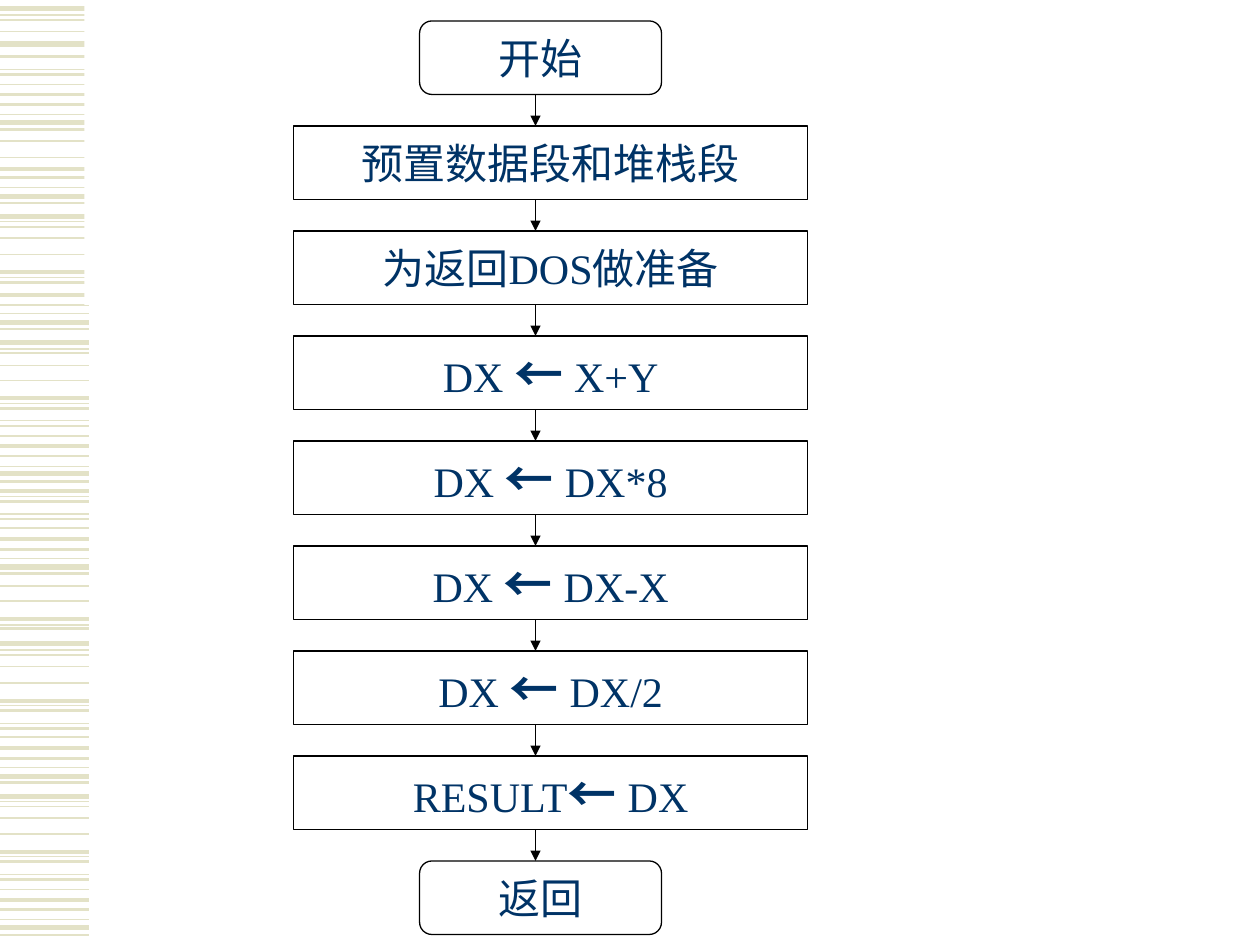
from dataclasses import dataclass

from lxml.etree import SubElement
from pptx import Presentation
from pptx.dml.color import RGBColor
from pptx.enum.shapes import MSO_CONNECTOR, MSO_SHAPE
from pptx.enum.text import MSO_ANCHOR, PP_ALIGN
from pptx.oxml.ns import qn
from pptx.shapes.connector import Connector
from pptx.slide import Slide
from pptx.util import Inches, Pt

COLORS = {"stripe": "E3E2C7", "text": "003366", "line": "000000", "panel": "FFFFFF"}
LATIN, CJK = "Times New Roman", "Noto Sans CJK SC"
ARROW = "← "

# Ten boxes share one pitch; connectors fill the gaps on the flow axis.
TOP, PITCH, HEIGHT = 1 / 6, 5 / 6, 7 / 12
AXIS = 4.25

# Line weight in points -> heights of the stripes down the left edge
STRIPE_WIDTH = 0.71
STRIPES = {
    3: [0.07, 0.35, 0.97, 1.56, 1.72, 2.56, 2.72, 3.76, 4.5, 5.11, 6.16, 6.32, 7.36],
    2.25: [0.75, 1.34, 2.16, 2.34, 3.16, 3.54, 3.9, 4.28, 4.91, 5.56, 5.94, 6.76,
           7.14],
    1.5: [0.45, 0.59, 0.83, 1.03, 1.41, 1.61, 2.24, 2.42, 2.61, 3.24, 3.38, 3.62,
          3.82, 3.98, 4.12, 4.36, 4.55, 4.99, 5.64, 5.78, 6.02, 6.21, 6.84, 6.98,
          7.22, 7.42],
    1: [0.16, 0.25, 0.67, 1.12, 1.25, 1.8, 1.89, 2.02, 2.8, 2.9, 3.02, 3.46, 4.19,
        4.65, 4.77, 5.2, 5.29, 5.42, 5.85, 6.4, 6.49, 6.62, 7.06],
    0.75: [0.12, 0.55, 0.91, 1.49, 1.76, 2.2, 2.49, 2.77, 3.2, 3.34, 3.7, 3.94, 4.08,
           4.43, 4.96, 5.16, 5.6, 5.74, 6.09, 6.36, 6.8, 6.94, 7.3],
}


@dataclass(frozen=True)
class BoxStyle:
    shape: MSO_SHAPE
    left: float
    width: float


@dataclass(frozen=True)
class Step:
    style: BoxStyle
    texts: tuple[str, ...]


TERMINAL = BoxStyle(MSO_SHAPE.FLOWCHART_ALTERNATE_PROCESS, 3.33, 1.92)
PROCESS = BoxStyle(MSO_SHAPE.FLOWCHART_PROCESS, 2.33, 4.08)

STEPS = [
    Step(TERMINAL, ("开始",)),
    Step(PROCESS, ("预置数据段和堆栈段",)),
    Step(PROCESS, ("为返回DOS做准备",)),
    Step(PROCESS, ("DX ", ARROW, "X+Y")),
    Step(PROCESS, ("DX ", ARROW, "DX*8")),
    Step(PROCESS, ("DX ", ARROW, "DX-X")),
    Step(PROCESS, ("DX ", ARROW, "DX/2")),
    Step(PROCESS, ("RESULT", ARROW, "DX")),
    Step(TERMINAL, ("返回",)),
]


def rgb(name: str) -> RGBColor:
    return RGBColor.from_string(COLORS[name])


def add_line(s: Slide, x1: float, y1: float, x2: float, y2: float,
             color: str, weight: float) -> Connector:
    line = s.shapes.add_connector(MSO_CONNECTOR.STRAIGHT, Inches(x1), Inches(y1),
                                  Inches(x2), Inches(y2))
    line.line.color.rgb = rgb(color)
    line.line.width = Pt(weight)
    SubElement(line._element.spPr, qn("a:effectLst"))
    return line


def add_panel(s: Slide) -> None:
    """Trim the upper stripes with a plain white panel."""
    sp = s.shapes.add_shape(MSO_SHAPE.RECTANGLE, Inches(0.67), 0,
                            Inches(9.25), Inches(2.42))
    sp.shadow.inherit = False
    sp.fill.solid()
    sp.fill.fore_color.rgb = rgb("panel")
    sp.line.fill.background()


def add_step(s: Slide, step: Step, top: float) -> None:
    style = step.style
    sp = s.shapes.add_shape(style.shape, Inches(style.left), Inches(top),
                            Inches(style.width), Inches(HEIGHT))
    sp.shadow.inherit = False
    sp.fill.background()
    sp.line.color.rgb = rgb("line")
    sp.line.width = Pt(0.75)
    tf = sp.text_frame
    tf.word_wrap = False
    tf.vertical_anchor = MSO_ANCHOR.MIDDLE
    p = tf.paragraphs[0]
    p.alignment = PP_ALIGN.CENTER
    for text in step.texts:
        is_arrow = text == ARROW
        r = p.add_run()
        r.text = text
        r.font.size = Pt(28 if is_arrow else 24)
        r.font.bold = is_arrow
        r.font.color.rgb = rgb("text")
        r.font.name = CJK if is_arrow else LATIN
        SubElement(r.font._element, qn("a:ea"), typeface=CJK)


def add_flow_arrow(s: Slide, top: float, bottom: float) -> None:
    arrow = add_line(s, AXIS, top, AXIS, bottom, "line", 0.75)
    SubElement(arrow.line._get_or_add_ln(), qn("a:tailEnd"), type="triangle")


def main() -> None:
    prs = Presentation()
    prs.slide_width, prs.slide_height = Inches(10), Inches(7.5)
    s = prs.slides.add_slide(prs.slide_layouts[6])

    for weight, heights in STRIPES.items():
        for y in heights:
            add_line(s, 0, y, STRIPE_WIDTH, y, "stripe", weight)
    add_panel(s)

    tops = [TOP + i * PITCH for i in range(len(STEPS))]
    for step, top in zip(STEPS, tops):
        add_step(s, step, top)
    for top, next_top in zip(tops, tops[1:]):
        add_flow_arrow(s, top + HEIGHT, next_top)

    prs.save("out.pptx")


if __name__ == "__main__":
    main()
